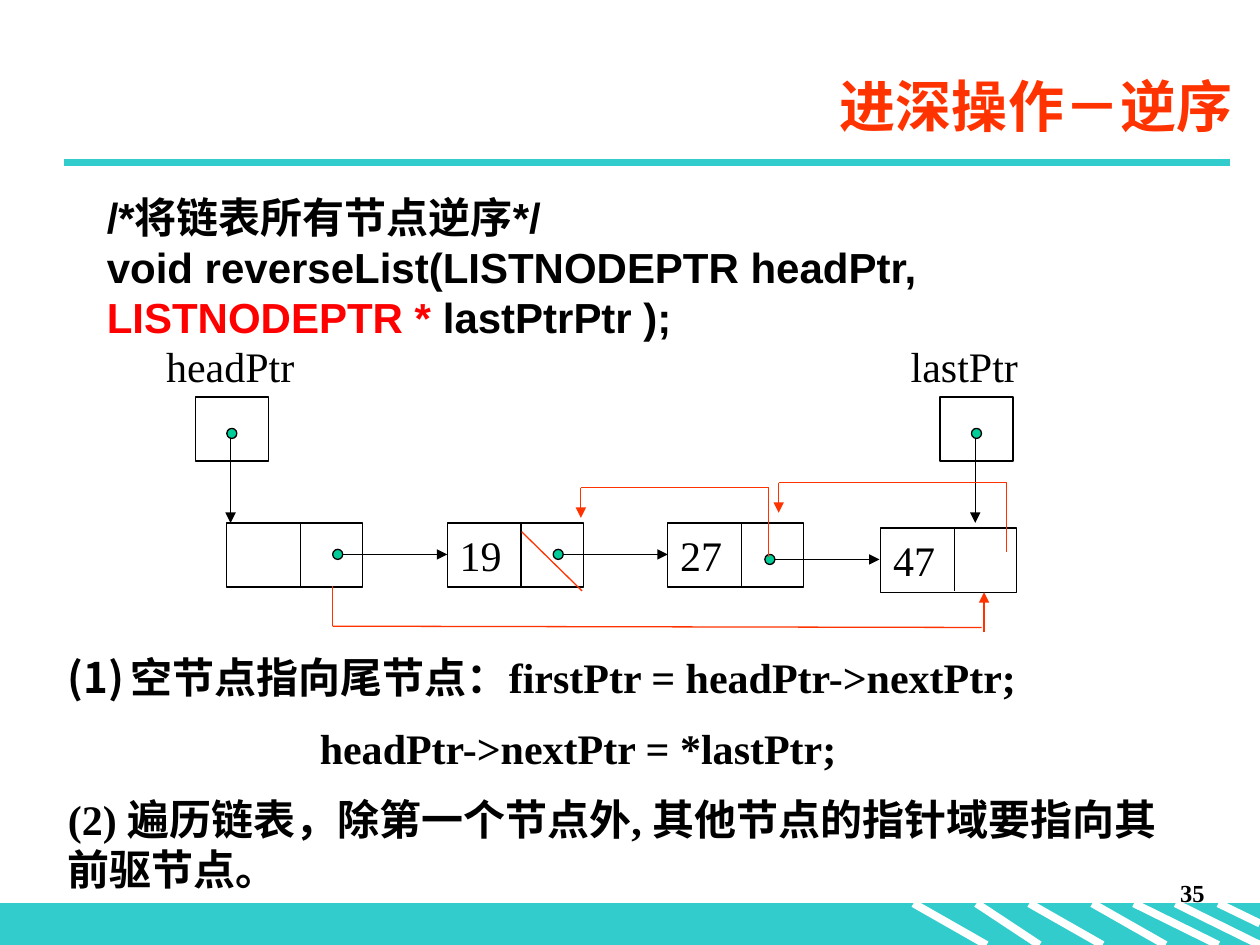
"""Build the slide on reversing a linked list."""
from itertools import pairwise
from lxml import etree
from pptx import Presentation
from pptx import util as u
from pptx.dml.color import RGBColor
from pptx.enum import shapes, text
from pptx.oxml.ns import qn


class Theme:
    ink, red, orange = "000000", "FF0000", "FF3300"
    teal, green, white = "33CCCC", "00CC99", "FFFFFF"
    sans, serif, cjk = "Arial", "Times New Roman", "Noto Sans CJK SC"
    title, body, number = 32, 24, 14
    thin, thick = 0.75, 4.5
    leading = 28.6


TITLE = "进深操作－逆序"
CODE = [
    [("/*将链表所有节点逆序*/", Theme.ink)],
    [("void reverseList(LISTNODEPTR headPtr, ", Theme.ink),
     ("LISTNODEPTR * ", Theme.red), ("lastPtrPtr );", Theme.ink)],
]
STEPS = [
    [("空节点指向尾节点：firstPtr = headPtr->nextPtr;", Theme.ink)],
    [("headPtr->nextPtr = *lastPtr;", Theme.ink)],
    [("(2) 遍历链表，除第一个节点外, 其他节点的指针域要指向其前驱节点。", Theme.ink)],
]
PAGE = "35"
NODES = [("", 1.8, 4.15), ("19", 3.55, 4.15), ("27", 5.3, 4.15), ("47", 6.99, 4.19)]
POINTERS = [("headPtr", 1.55, 1.33), ("lastPtr", 7.46, 1.97)]
LINKS = [(2.64, 4.36), (4.39, 4.36), (6.07, 4.4)]
NEW_LINKS = [
    ([(4.14, 4.22), (4.62, 4.69)], False),
    ([(2.64, 4.65), (2.64, 4.97), (7.79, 4.98)], False),
    ([(7.81, 5.02), (7.81, 4.7)], True),
    ([(6.1, 4.42), (6.1, 3.87), (4.61, 3.87), (4.61, 4.11)], True),
    ([(7.99, 4.38), (7.99, 3.83), (6.18, 3.83), (6.18, 4.07)], True),
]
STRIPES = [(7.25, 7.83, 7.5), (7.75, 8.25, 7.5), (8.17, 8.75, 7.5), (8.67, 9.25, 7.5),
           (9, 9.67, 7.5), (9.33, 10, 7.5), (9.67, 10, 7.33)]
NODE_W, BOX_W, BOX_H, DIVIDER, DOT = 1.08, 0.58, 0.51, 0.585, 0.08

prs = Presentation()
prs.slide_width, prs.slide_height = u.Inches(10), u.Inches(7.5)
slide = prs.slides.add_slide(prs.slide_layouts[6])


def rgb(value):
    """Turn a hex string into a colour."""
    return RGBColor.from_string(value)


def add_line(start, end, color=Theme.ink, width=Theme.thin, arrow=False):
    """Draw a straight line, with an arrowhead at its end if asked."""
    s = slide.shapes.add_connector(shapes.MSO_CONNECTOR.STRAIGHT,
                                   *map(u.Inches, (*start, *end)))
    s.line.color.rgb, s.line.width = rgb(color), u.Pt(width)
    if arrow:
        etree.SubElement(s.line._get_or_add_ln(), qn("a:tailEnd"), type="triangle")
    etree.SubElement(s._element.spPr, qn("a:effectLst"))


def add_path(points, color, arrow):
    """Draw a chain of lines through the points."""
    for start, end in pairwise(points):
        add_line(start, end, color, arrow=arrow and end == points[-1])


def add_box(kind, at, fill=None, line=Theme.ink):
    """Draw a preset shape."""
    s = slide.shapes.add_shape(kind, *map(u.Inches, at))
    s.shadow.inherit = False
    if fill:
        s.fill.solid()
        s.fill.fore_color.rgb = rgb(fill)
    else:
        s.fill.background()
    s.line.color.rgb, s.line.width = rgb(line), u.Pt(Theme.thin)
    return s


def style(p, size, font, color, bold=False, align=text.PP_ALIGN.LEFT):
    """Format every run of a paragraph."""
    p.alignment = align
    for r in p.runs:
        f = r.font
        f.size, f.name, f.bold, f.color.rgb = u.Pt(size), font, bold, rgb(color)
        etree.SubElement(r._r.get_or_add_rPr(), qn("a:ea"), typeface=Theme.cjk)


def add_text(at):
    """Add an empty wrapping text box and return its text frame."""
    tf = slide.shapes.add_textbox(*map(u.Inches, at)).text_frame
    tf.word_wrap = True
    return tf


def add_label(at, label, size, font, color, **kw):
    """Add a text box of one paragraph."""
    tf = add_text(at)
    tf.text = label
    style(tf.paragraphs[0], size, font, color, **kw)
    return tf


def add_paragraphs(at, paragraphs, font, gap):
    """Add a text box of bold paragraphs made of coloured parts."""
    tf = add_text(at)
    tf.margin_top = u.Inches(0.08)
    for i, parts in enumerate(paragraphs):
        p = tf.paragraphs[0] if i == 0 else tf.add_paragraph()
        p.line_spacing = u.Pt(Theme.leading)
        p.space_before = u.Pt(gap if i else 0)
        for words, _ in parts:
            p.add_run().text = words
        style(p, Theme.body, font, Theme.ink, bold=True)
        for r, (_, color) in zip(p.runs, parts):
            r.font.color.rgb = rgb(color)
    return tf


def add_dot(x, y):
    """Mark the start of a pointer."""
    add_box(shapes.MSO_SHAPE.OVAL, (x, y, DOT, DOT), Theme.green)


def add_frame():
    """Draw the title, rule, footer band and page number."""
    add_box(shapes.MSO_SHAPE.RECTANGLE, (0, 7.17, 10, 0.33), Theme.teal, Theme.teal)
    for left, right, bottom in STRIPES:
        add_line((left, 7.17), (right, bottom), Theme.white, Theme.thick)
    add_line((0.51, 1.29), (9.76, 1.29), Theme.teal, Theme.thick)
    right = text.PP_ALIGN.RIGHT
    add_label((7.58, 6.92, 2.08, 0.5), PAGE, Theme.number, Theme.serif, Theme.ink,
              bold=True, align=right)
    tf = add_label((1.38, 0.44, 8.5, 0.79), TITLE, Theme.title, Theme.cjk, Theme.orange,
                   bold=True, align=right)
    tf.vertical_anchor = text.MSO_ANCHOR.MIDDLE


def add_words():
    """Write the function heading and the steps."""
    add_paragraphs((0.75, 1.44, 8.5, 1.45), CODE, Theme.sans, 0)
    tf = add_paragraphs((0.44, 5.09, 8.9, 2.12), STEPS, Theme.serif, 12)
    first, second = (p._p.get_or_add_pPr() for p in tf.paragraphs[:2])
    first.set("marL", str(u.Inches(0.5)))
    first.set("indent", str(u.Inches(-0.5)))
    etree.SubElement(first, qn("a:buFont"), typeface=Theme.cjk)
    etree.SubElement(first, qn("a:buAutoNum"), type="arabicParenBoth")
    second.set("marL", str(u.Inches(2)))


def add_list():
    """Draw the nodes, the pointers and the links."""
    for label, x, y in NODES:
        s = add_box(shapes.MSO_SHAPE.RECTANGLE, (x, y, NODE_W, BOX_H))
        if label:
            s.text_frame.text = label
            style(s.text_frame.paragraphs[0], Theme.body, Theme.serif, Theme.ink)
        add_line((x + DIVIDER, y), (x + DIVIDER, y + 0.5))
    for label, x, width in POINTERS:
        add_box(shapes.MSO_SHAPE.RECTANGLE, (x, 3.15, BOX_W, BOX_H))
        add_label((x - 0.33, 2.65, width, BOX_H), label, Theme.body, Theme.serif, Theme.ink)
        add_dot(x + 0.25, 3.4)
        add_line((x + 0.28, 3.48), (x + 0.28, 4.15), arrow=True)
    for x, y in LINKS:
        add_line((x + DOT, y + DOT / 2), (x + 0.91, y + DOT / 2), arrow=True)
        add_dot(x, y)
    for points, arrow in NEW_LINKS:
        add_path(points, Theme.orange, arrow)


if __name__ == "__main__":
    add_frame()
    add_words()
    add_list()
    prs.save("out.pptx")
